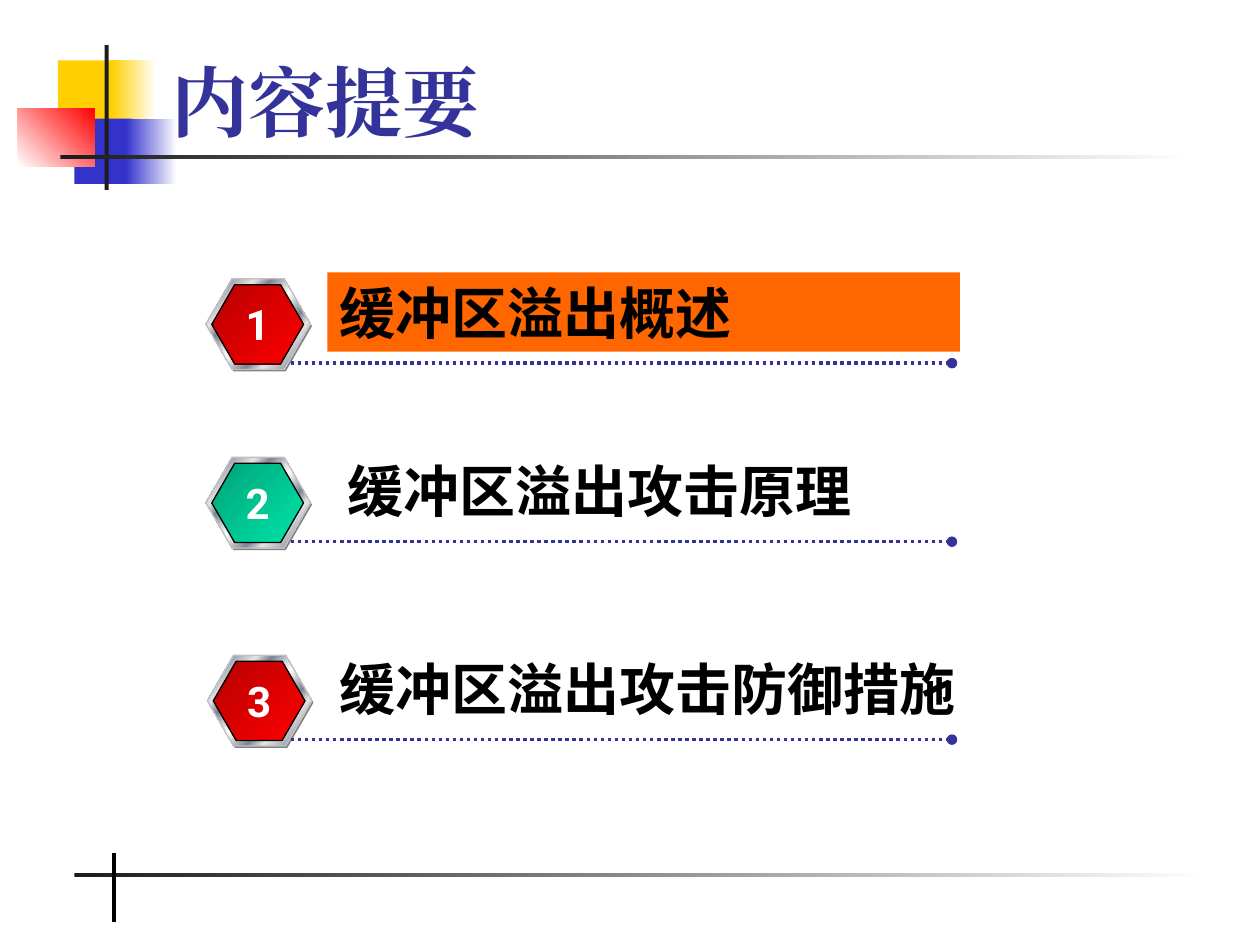
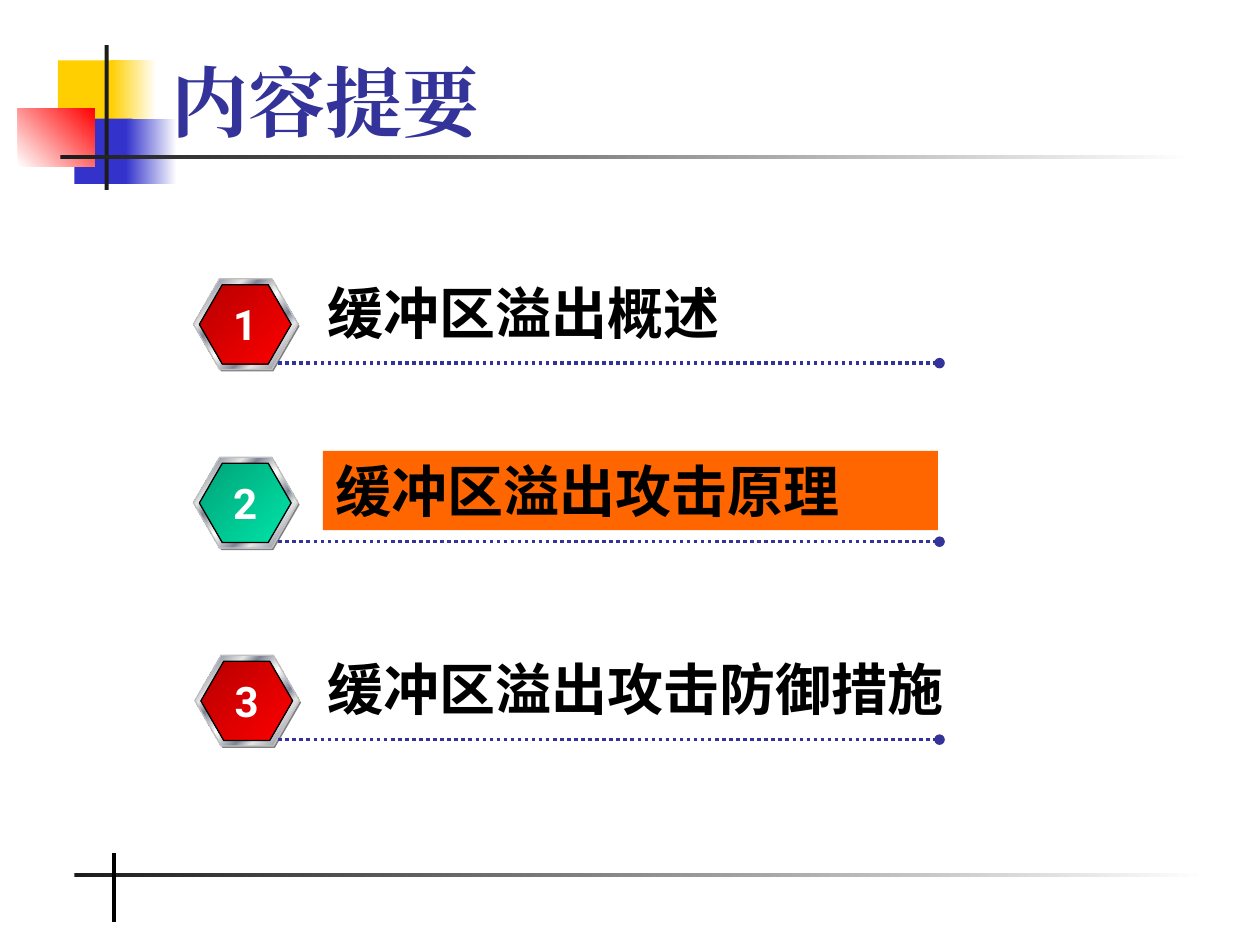
"""Build two agenda slides, each with one topic marked."""
from typing import NamedTuple, Optional

from lxml import etree
from pptx import Presentation
from pptx.dml.color import RGBColor
from pptx.enum.dml import MSO_LINE
from pptx.enum.shapes import MSO_CONNECTOR, MSO_SHAPE
from pptx.enum.text import MSO_ANCHOR, PP_ALIGN
from pptx.oxml.ns import qn
from pptx.util import Cm, Pt

RECT, HEX = MSO_SHAPE.RECTANGLE, MSO_SHAPE.HEXAGON
LINE, DOTS = MSO_CONNECTOR.STRAIGHT, MSO_LINE.ROUND_DOT
LEFT, MID = PP_ALIGN.LEFT, PP_ALIGN.CENTER
TOP, CENTER, BASE = MSO_ANCHOR.TOP, MSO_ANCHOR.MIDDLE, MSO_ANCHOR.BOTTOM

WHITE = RGBColor(0xFF, 0xFF, 0xFF)
BLACK = RGBColor(0, 0, 0)
COAL = RGBColor(0x1C, 0x1C, 0x1C)
GOLD = RGBColor(0xFF, 0xCF, 0x01)
BLUE = RGBColor(0x33, 0x33, 0xCC)
NAVY = RGBColor(0x33, 0x33, 0x99)
RED = RGBColor(0xFF, 0, 0)
WINE = RGBColor(0xB6, 0, 0)
PINE = RGBColor(0, 0xA3, 0x78)
MINT = RGBColor(0, 0xE4, 0xA8)
AMBER = RGBColor(0xFF, 0x66, 0)
GRAY = RGBColor(0x80, 0x80, 0x80)
SILVER = RGBColor(0xC0, 0xC0, 0xC0)
PALE = RGBColor(0xE6, 0xE6, 0xE6)
STEEL = RGBColor(0x7D, 0x84, 0x96)

SERIF, SANS, DIGIT = "Times New Roman", "Noto Sans CJK SC", "Roboto"
TITLE = "内容提要"


class Box(NamedTuple):
    """Left, top, width and height in centimetres."""
    x: float
    y: float
    w: float
    h: float


class Paint(NamedTuple):
    """Gradient stops (percent, colour) and clockwise angle."""
    stops: tuple
    angle: int = 0


class Block(NamedTuple):
    """A filled rectangle of the page frame."""
    box: Box
    fill: RGBColor | Paint


class Font(NamedTuple):
    """Face, size and colour of bold text."""
    face: str
    size: int
    color: RGBColor


class Topic(NamedTuple):
    """One agenda row: badge corner, label left and width, text, core."""
    x: float
    y: float
    left: float
    width: float
    text: str
    core: Paint


def fade(start: RGBColor, end: RGBColor, angle: int = 0) -> Paint:
    """Return a gradient of two colours."""
    return Paint(((0, start), (100, end)), angle)


METAL = Paint(((0, PALE), (8, STEEL), (26, PALE), (34, STEEL), (46, PALE),
               (50, WHITE), (54, PALE), (66, STEEL), (74, PALE),
               (93, STEEL), (100, PALE)), 45)
RUBY, JADE = fade(WINE, RED, 45), fade(PINE, MINT, 45)

FRAME = (
    Block(Box(1.17, 1.22, 1.22, 1.32), GOLD),
    Block(Box(2.24, 1.22, 0.91, 1.32), fade(GOLD, WHITE)),
    Block(Box(1.5, 2.39, 1.17, 1.32), BLUE),
    Block(Box(2.54, 2.39, 1.02, 1.32), fade(BLUE, WHITE)),
    Block(Box(0.36, 2.18, 1.55, 1.17), fade(WHITE, RED, 315)),
    Block(Box(2.11, 0.91, 0.08, 2.92), COAL),
    Block(Box(1.22, 3.12, 22.86, 0.08), fade(COAL, WHITE)),
    Block(Box(1.5, 17.6, 22.86, 0.08), fade(COAL, WHITE)),
)
TOPICS = (
    Topic(4.15, 5.62, 6.6, 12.75, "缓冲区溢出概述", RUBY),
    Topic(4.15, 9.22, 6.76, 12.4, "缓冲区溢出攻击原理", JADE),
    Topic(4.18, 13.21, 6.6, 13.08, "缓冲区溢出攻击防御措施", RUBY),
)


def cms(box: Box) -> list:
    """Return the four lengths of a box."""
    return [Cm(side) for side in box]


def paint(shape, fill: RGBColor | Paint) -> None:
    """Fill a shape with one colour or a gradient."""
    if isinstance(fill, RGBColor):
        shape.fill.solid()
        shape.fill.fore_color.rgb = fill
        return
    shape.fill.gradient()
    shape.fill.gradient_angle = (360 - fill.angle) % 360
    stops = next(shape.element.iter(qn("a:gsLst")))
    for old in list(stops):
        stops.remove(old)
    for place, color in fill.stops:
        stop = etree.SubElement(stops, qn("a:gs"), pos=str(place * 1000))
        etree.SubElement(stop, qn("a:srgbClr"), val=str(color))


def draw(shapes, kind, box: Box, fill: RGBColor | Paint,
         edge: Optional[RGBColor] = None):
    """Add a flat preset shape with an optional thin edge."""
    shape = shapes.add_shape(kind, *cms(box))
    shape.shadow.inherit = False
    paint(shape, fill)
    if edge is None:
        shape.line.fill.background()
    else:
        shape.line.color.rgb = edge
        shape.line.width = Pt(0.75)
    return shape


def write(shape, text: str, font: Font, align=LEFT, anchor=TOP,
          wrap: bool = True) -> None:
    """Put one bold line of text into a shape."""
    frame = shape.text_frame
    frame.text = text
    frame.word_wrap = wrap
    frame.vertical_anchor = anchor
    para = frame.paragraphs[0]
    para.alignment = align
    run = para.runs[0]
    run.font.name = font.face
    run.font.size = Pt(font.size)
    run.font.bold = True
    run.font.color.rgb = font.color
    props = run.font._element
    etree.SubElement(props, qn("a:ea"), typeface=font.face)


def rule(shapes, start: tuple, end: tuple, color: RGBColor, width: float):
    """Add a straight line without shadow."""
    line = shapes.add_connector(LINE, *[Cm(n) for n in start + end])
    line.line.color.rgb = color
    line.line.width = Pt(width)
    etree.SubElement(line.element.spPr, qn("a:effectLst"))
    return line


def badge(shapes, x: float, y: float, core: Paint) -> None:
    """Add a metal hexagon with a coloured core as a group."""
    group = shapes.add_group_shape().shapes
    hexes = (
        (Box(x + 0.03, y + 0.04, 2.11, 1.83), GRAY, None),
        (Box(x, y, 2.11, 1.83), METAL, SILVER),
        (Box(x + 0.12, y + 0.12, 1.85, 1.6), core, BLACK),
    )
    for box, fill, edge in hexes:
        draw(group, HEX, box, fill, edge).adjustments[0] = 0.289


def entry(shapes, num: int, topic: Topic, shift: float, lit: bool) -> None:
    """Add one agenda row: badge, dotted line, label and number."""
    x, y = topic.x + shift, topic.y
    badge(shapes, x, y, topic.core)

    start, level = 5.86 + shift, y + 1.7
    dots = rule(shapes, (start, level), (start + 13.33, level), NAVY, 2)
    dots.line.dash_style = DOTS
    etree.SubElement(dots.line._get_or_add_ln(), qn("a:tailEnd"), type="oval")

    box = Box(topic.left + shift, y - 0.13, topic.width, 1.6)
    if lit:
        label = draw(shapes, RECT, box, AMBER)
    else:
        label = shapes.add_textbox(*cms(box))
    write(label, topic.text, Font(SANS, 32, BLACK), anchor=CENTER)

    mark = shapes.add_textbox(*cms(Box(x + 0.55, y + 0.28, 0.99, 1.27)))
    write(mark, str(num), Font(DIGIT, 24, WHITE), align=MID, wrap=False)


def page(deck, lit: int, shift: float) -> None:
    """Add an agenda slide with one topic marked."""
    shapes = deck.slides.add_slide(deck.slide_layouts[6]).shapes
    for block in FRAME:
        draw(shapes, RECT, block.box, block.fill)
    rule(shapes, (2.29, 17.2), (2.29, 18.59), BLACK, 2.25)
    title = shapes.add_textbox(*cms(Box(3.2, 0.41, 21.64, 2.67)))
    write(title, TITLE, Font(SERIF, 44, NAVY), anchor=BASE)
    for num, topic in enumerate(TOPICS, 1):
        entry(shapes, num, topic, shift, num == lit)


def main() -> None:
    """Build and save the deck."""
    deck = Presentation()
    deck.slide_width, deck.slide_height = Cm(25.4), Cm(19.05)
    page(deck, lit=1, shift=0)
    page(deck, lit=2, shift=-0.25)
    deck.save("out.pptx")


main()
